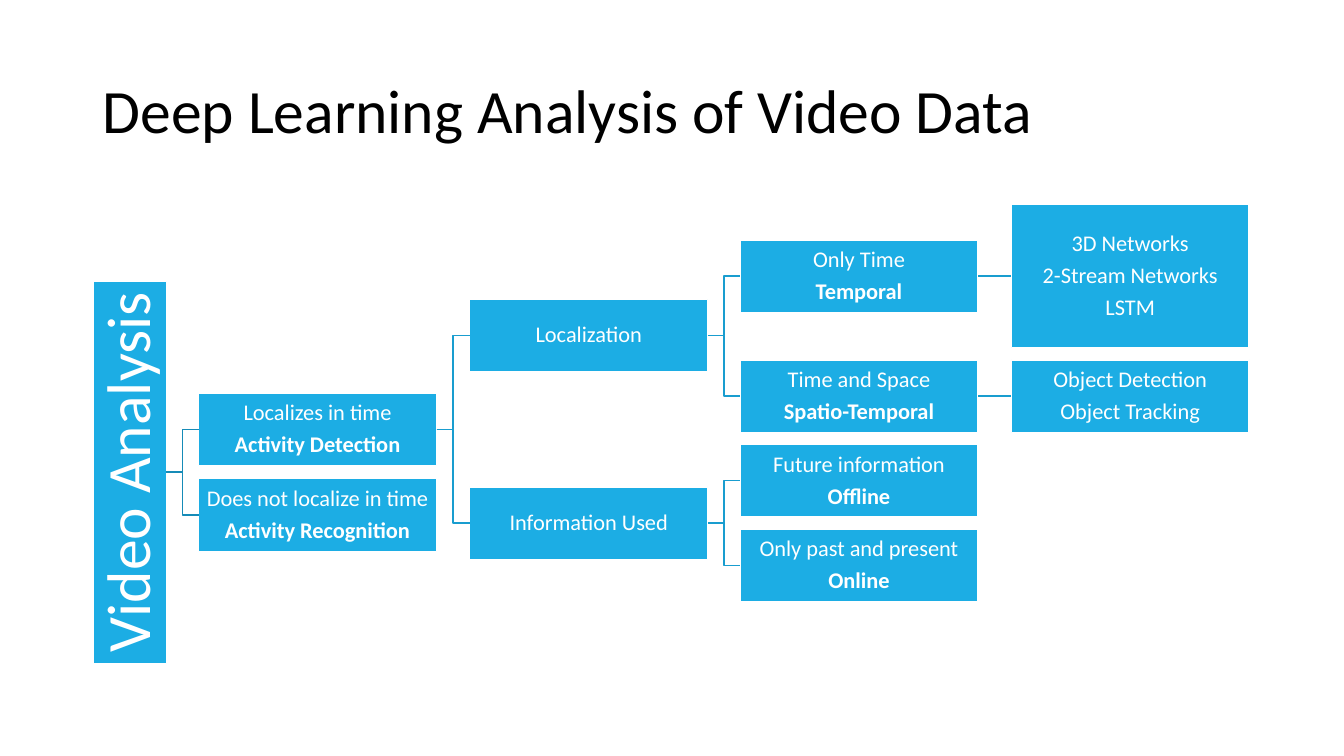
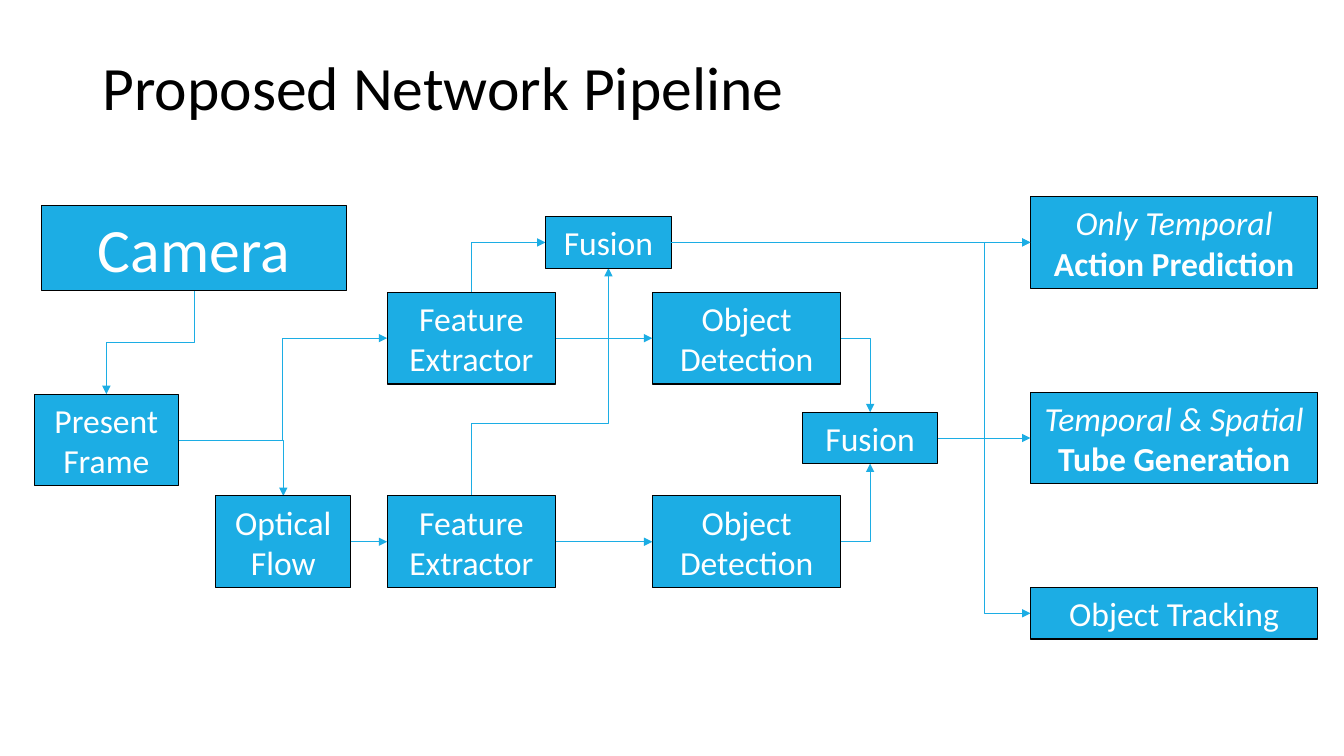
from dataclasses import dataclass
from typing import NamedTuple

from lxml import etree
from pptx import Presentation, util as u
from pptx.dml.color import RGBColor
from pptx.enum import shapes, text
from pptx.oxml.ns import qn
from pptx.util import Inches

FONT = "Calibri"
COLOURS = {
    "box": "1CADE4",
    "first_branch": "168BB7",
    "branch": "199DCF",
    "white": "FFFFFF",
    "black": "000000",
}
TOP, LEFT, BOTTOM, RIGHT = range(4)


class Line(NamedTuple):
    text: str
    bold: bool = False
    italic: bool = False


class Point(NamedTuple):
    x: float
    y: float


@dataclass(frozen=True)
class BoxStyle:
    border: str
    border_width: float
    inset_x: float
    inset_y: float
    line_spacing: float = 1.0
    space_after: float = 0


@dataclass(frozen=True)
class Box:
    left: float
    top: float
    width: float
    height: float
    lines: tuple[Line, ...]
    size: int = 24
    upward: bool = False

    def side(self, side: int) -> Point:
        """Give the middle of one side, numbered like connection sites."""
        x = {LEFT: self.left, RIGHT: self.left + self.width}
        y = {TOP: self.top, BOTTOM: self.top + self.height}
        return Point(x.get(side, self.left + self.width / 2),
                     y.get(side, self.top + self.height / 2))


@dataclass(frozen=True)
class Elbow:
    start: str
    start_side: int
    end: str
    end_side: int
    bends: int = 2
    bend_at: float = 0.5

    @property
    def vertical_first(self) -> bool:
        return self.start_side in (TOP, BOTTOM)


TREE_STYLE = BoxStyle("white", 1, 0.01, 0.01, 0.9, 5.6)
PIPELINE_STYLE = BoxStyle("black", 0.75, 0.1, 0.05)

TREE_LEFT, TREE_STEP = 1.97, 2.685
TREE_WIDTH, TREE_HEIGHT = 2.36, 0.72


def tree_box(column: int, top: float, *lines: Line, height: float = TREE_HEIGHT) -> Box:
    left = round(TREE_LEFT + column * TREE_STEP, 2)
    return Box(left, top, TREE_WIDTH, height, lines, 16)


TREE = {
    "root": Box(0.93, 2.79, 0.72, 3.79, (Line("Video Analysis"),), 44, True),
    "detection": tree_box(0, 3.9, Line("Localizes in time"), Line("Activity Detection", True)),
    "recognition": tree_box(0, 4.75, Line("Does not localize in time"),
                            Line("Activity Recognition", True)),
    "localization": tree_box(1, 2.97, Line("Localization")),
    "information": tree_box(1, 4.83, Line("Information Used")),
    "temporal": tree_box(2, 2.38, Line("Only Time"), Line("Temporal", True)),
    "spatial": tree_box(2, 3.57, Line("Time and Space"), Line("Spatio-Temporal", True)),
    "offline": tree_box(2, 4.41, Line("Future information"), Line("Offline", True)),
    "online": tree_box(2, 5.25, Line("Only past and present"), Line("Online", True)),
    "networks": tree_box(3, 2.03, Line("3D Networks"), Line("2-Stream Networks"),
                         Line("LSTM"), height=1.42),
    "objects": tree_box(3, 3.57, Line("Object Detection"), Line("Object Tracking")),
}
BRANCHES = {
    "root": ("detection", "recognition"),
    "detection": ("localization", "information"),
    "localization": ("temporal", "spatial"),
    "information": ("offline", "online"),
    "temporal": ("networks",),
    "spatial": ("objects",),
}

ONE_LINE, TWO_LINES = 0.51, 0.91
UPPER_ROW, LOWER_ROW = 2.9, 4.92
EXTRACTOR = (Line("Feature Extractor"),)
DETECTOR = (Line("Object Detection"),)
FUSION = (Line("Fusion"),)

PIPELINE = {
    "camera": Box(0.41, 2.04, 3.03, 0.84, (Line("Camera"),), 44),
    "frame": Box(0.34, 3.91, 1.43, TWO_LINES, (Line("Present Frame"),)),
    "flow": Box(2.14, LOWER_ROW, 1.34, TWO_LINES, (Line("Optical Flow"),)),
    "frame_features": Box(3.84, UPPER_ROW, 1.67, TWO_LINES, EXTRACTOR),
    "flow_features": Box(3.84, LOWER_ROW, 1.67, TWO_LINES, EXTRACTOR),
    "frame_objects": Box(6.47, UPPER_ROW, 1.87, TWO_LINES, DETECTOR),
    "flow_objects": Box(6.47, LOWER_ROW, 1.87, TWO_LINES, DETECTOR),
    "feature_fusion": Box(5.41, 2.15, 1.25, ONE_LINE, FUSION),
    "object_fusion": Box(7.96, 4.09, 1.34, ONE_LINE, FUSION),
    "prediction": Box(10.22, 1.95, 2.85, TWO_LINES,
                      (Line("Only Temporal", italic=True), Line("Action Prediction", True))),
    "tube": Box(10.22, 3.89, 2.85, TWO_LINES,
                (Line("Temporal & Spatial", italic=True), Line("Tube Generation", True))),
    "tracking": Box(10.22, 5.83, 2.85, ONE_LINE, (Line("Object Tracking"),)),
}
STRAIGHT_ARROWS = (
    ("flow", "flow_features"),
    ("flow_features", "flow_objects"),
    ("frame_features", "frame_objects"),
    ("feature_fusion", "prediction"),
    ("object_fusion", "tube"),
)
ELBOWS = (
    Elbow("camera", BOTTOM, "frame", TOP),
    Elbow("frame", RIGHT, "frame_features", LEFT),
    Elbow("frame", RIGHT, "flow", TOP, bends=1),
    Elbow("frame_objects", RIGHT, "object_fusion", TOP, bends=1),
    Elbow("flow_objects", RIGHT, "object_fusion", BOTTOM, bends=1),
    Elbow("frame_features", TOP, "feature_fusion", LEFT, bends=1),
    Elbow("flow_features", TOP, "feature_fusion", BOTTOM, bend_at=0.32),
    Elbow("object_fusion", RIGHT, "prediction", LEFT),
    Elbow("object_fusion", RIGHT, "tracking", LEFT),
)


def colour(name: str) -> RGBColor:
    return RGBColor.from_string(COLOURS[name])


def format_font(font, size: int, colour_name: str) -> None:
    font.name = FONT
    font.size = u.Pt(size)
    font.color.rgb = colour(colour_name)


def add_titled_slide(presentation, title: str, top: float):
    slide = presentation.slides.add_slide(presentation.slide_layouts[6])
    shape = slide.shapes.add_textbox(Inches(0.92), Inches(top), Inches(11.5), Inches(1.45))
    frame = shape.text_frame
    frame.word_wrap = True
    frame.vertical_anchor = text.MSO_ANCHOR.MIDDLE
    frame.text = title
    paragraph = frame.paragraphs[0]
    paragraph.line_spacing = 0.9
    format_font(paragraph.runs[0].font, 44, "black")
    return slide


def add_box(slide, box: Box, style: BoxStyle):
    shape = slide.shapes.add_shape(
        shapes.MSO_SHAPE.RECTANGLE,
        Inches(box.left), Inches(box.top), Inches(box.width), Inches(box.height))
    shape.shadow.inherit = False
    shape.fill.solid()
    shape.fill.fore_color.rgb = colour("box")
    shape.line.color.rgb = colour(style.border)
    shape.line.width = u.Pt(style.border_width)
    frame = shape.text_frame
    frame.word_wrap = True
    frame.vertical_anchor = text.MSO_ANCHOR.MIDDLE
    frame.margin_left = frame.margin_right = Inches(style.inset_x)
    frame.margin_top = frame.margin_bottom = Inches(style.inset_y)
    if box.upward:
        shape.element.txBody.find(qn("a:bodyPr")).set("vert", "vert270")
    frame.text = "\n".join(line.text for line in box.lines)
    for paragraph, line in zip(frame.paragraphs, box.lines):
        paragraph.alignment = text.PP_ALIGN.CENTER
        paragraph.line_spacing = style.line_spacing
        paragraph.space_after = u.Pt(style.space_after)
        font = paragraph.runs[0].font
        format_font(font, box.size, "white")
        font.bold, font.italic = line.bold, line.italic
    return shape


def add_connector(slide, kind, start: Point, end: Point, colour_name: str,
                  width: float, arrow: bool):
    connector = slide.shapes.add_connector(
        kind, Inches(start.x), Inches(start.y), Inches(end.x), Inches(end.y))
    connector.line.color.rgb = colour(colour_name)
    connector.line.width = u.Pt(width)
    properties = connector.element.spPr
    if arrow:
        etree.SubElement(properties.find(qn("a:ln")), qn("a:tailEnd"), type="triangle")
    etree.SubElement(properties, qn("a:effectLst"))
    return connector


def join_sides(slide, boxes, drawn, parent: str, child: str, colour_name: str,
               width: float, arrow: bool) -> None:
    """Join the right side of one box to the left side of the next."""
    start, end = boxes[parent].side(RIGHT), boxes[child].side(LEFT)
    level = abs(start.y - end.y) < 0.01
    kind = shapes.MSO_CONNECTOR.STRAIGHT if level else shapes.MSO_CONNECTOR.ELBOW
    connector = add_connector(slide, kind, start, end, colour_name, width, arrow)
    connector.begin_connect(drawn[parent], RIGHT)
    connector.end_connect(drawn[child], LEFT)


def add_elbow(slide, elbow: Elbow) -> None:
    """Draw a bent arrow; one that starts vertically is turned a quarter."""
    start = PIPELINE[elbow.start].side(elbow.start_side)
    end = PIPELINE[elbow.end].side(elbow.end_side)
    if elbow.vertical_first:
        centre = Point((start.x + end.x) / 2, (start.y + end.y) / 2)
        half = Point((end.y - start.y) / 2, (start.x - end.x) / 2)
        start = Point(centre.x - half.x, centre.y - half.y)
        end = Point(centre.x + half.x, centre.y + half.y)
    connector = add_connector(slide, shapes.MSO_CONNECTOR.ELBOW, start, end, "box", 0.5, True)
    properties = connector.element.spPr
    if elbow.vertical_first:
        properties.find(qn("a:xfrm")).set("rot", str(90 * 60000))
    geometry = properties.find(qn("a:prstGeom"))
    geometry.set("prst", f"bentConnector{elbow.bends + 1}")
    if elbow.bends == 2:
        etree.SubElement(geometry.find(qn("a:avLst")), qn("a:gd"),
                         name="adj1", fmla=f"val {round(elbow.bend_at * 100000)}")


def build_tree(presentation) -> None:
    slide = add_titled_slide(presentation, "Deep Learning Analysis of Video Data", 0.4)
    drawn = {name: add_box(slide, box, TREE_STYLE) for name, box in TREE.items()}
    for parent, children in BRANCHES.items():
        colour_name = "first_branch" if parent == "root" else "branch"
        for child in children:
            join_sides(slide, TREE, drawn, parent, child, colour_name, 1, False)


def build_pipeline(presentation) -> None:
    slide = add_titled_slide(presentation, "Proposed Network Pipeline", 0.17)
    for elbow in ELBOWS:
        add_elbow(slide, elbow)
    drawn = {name: add_box(slide, box, PIPELINE_STYLE) for name, box in PIPELINE.items()}
    for start, end in STRAIGHT_ARROWS:
        join_sides(slide, PIPELINE, drawn, start, end, "box", 0.5, True)


def main() -> None:
    presentation = Presentation()
    presentation.slide_width = Inches(13.33)
    presentation.slide_height = Inches(7.5)
    build_tree(presentation)
    build_pipeline(presentation)
    presentation.save("out.pptx")


if __name__ == "__main__":
    main()
